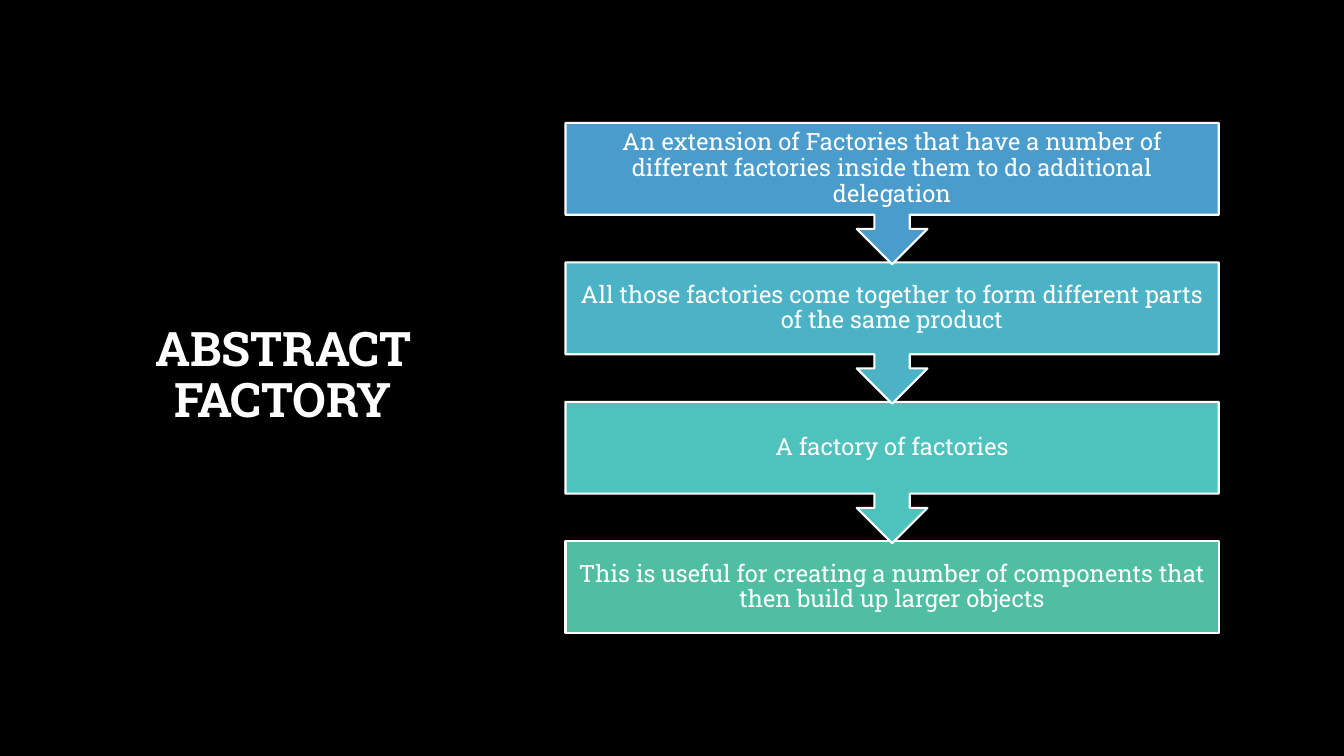
"""Build the Abstract Factory slide: a title beside a chain of four steps."""
from pptx import Presentation
from pptx.dml.color import RGBColor
from pptx.enum.shapes import MSO_SHAPE
from pptx.enum.text import MSO_ANCHOR, MSO_AUTO_SIZE, PP_ALIGN
from pptx.util import Pt

RECTANGLE = MSO_SHAPE.RECTANGLE
DOWN_CALLOUT = MSO_SHAPE.DOWN_ARROW_CALLOUT
MIDDLE = MSO_ANCHOR.MIDDLE
NO_AUTOFIT = MSO_AUTO_SIZE.NONE
CENTER = PP_ALIGN.CENTER

THEME = {
    "font": "Roboto Slab",
    "background": RGBColor.from_string("000000"),
    "text": RGBColor.from_string("FFFFFF"),
    "outline": RGBColor.from_string("FFFFFF"),
    "steps": [RGBColor.from_string(code) for code in ("4A9CCC", "4CB3C7", "4EC3BE", "50BEA3")],
    "title_size": Pt(34),
    "step_size": Pt(17),
}

STEPS = [
    "An extension of Factories that have a number of different factories inside them to do additional delegation",
    "All those factories come together to form different parts of the same product",
    "A factory of factories",
    "This is useful for creating a number of components that then build up larger objects",
]

STEP_LEFT, STEP_TOP, STEP_WIDTH = 403.9, 87.8, 466.6
BOX_HEIGHT, CALLOUT_HEIGHT, STEP_PITCH = 65.7, 101, 99.6


def apply_format(target, values):
    """Set each named attribute on the target."""
    for name, value in values.items():
        setattr(target, name, value)


def write_text(shape, text, size, bold, inset):
    """Put centred, formatted text into the shape."""
    frame = shape.text_frame
    frame.text = text
    paragraph = frame.paragraphs[0]
    apply_format(frame, {"word_wrap": True, "auto_size": NO_AUTOFIT, "vertical_anchor": MIDDLE})
    apply_format(frame, {f"margin_{side}": inset for side in ("left", "top", "right", "bottom")})
    apply_format(paragraph, {"alignment": CENTER, "line_spacing": 0.9})
    font = paragraph.runs[0].font
    apply_format(font, {"name": THEME["font"], "size": size, "bold": bold})
    font.color.rgb = THEME["text"]


presentation = Presentation()
apply_format(presentation, {"slide_width": Pt(960), "slide_height": Pt(540)})
slide = presentation.slides.add_slide(presentation.slide_layouts[5])
slide.background.fill.solid()
slide.background.fill.fore_color.rgb = THEME["background"]

title = slide.shapes.title
apply_format(title, {"left": Pt(59), "top": Pt(48.2), "width": Pt(286.6), "height": Pt(441.4)})
write_text(title, "ABSTRACT FACTORY", THEME["title_size"], True, Pt(7.2))

last = len(STEPS) - 1
for index in reversed(range(len(STEPS))):
    kind, height = (RECTANGLE, BOX_HEIGHT) if index == last else (DOWN_CALLOUT, CALLOUT_HEIGHT)
    top = STEP_TOP + index * STEP_PITCH
    step = slide.shapes.add_shape(kind, Pt(STEP_LEFT), Pt(top), Pt(STEP_WIDTH), Pt(height))
    step.shadow.inherit = False
    step.fill.solid()
    step.fill.fore_color.rgb = THEME["steps"][index]
    step.line.color.rgb = THEME["outline"]
    step.line.width = Pt(1.5)
    write_text(step, STEPS[index], THEME["step_size"], False, Pt(9.4))

presentation.save("out.pptx")
